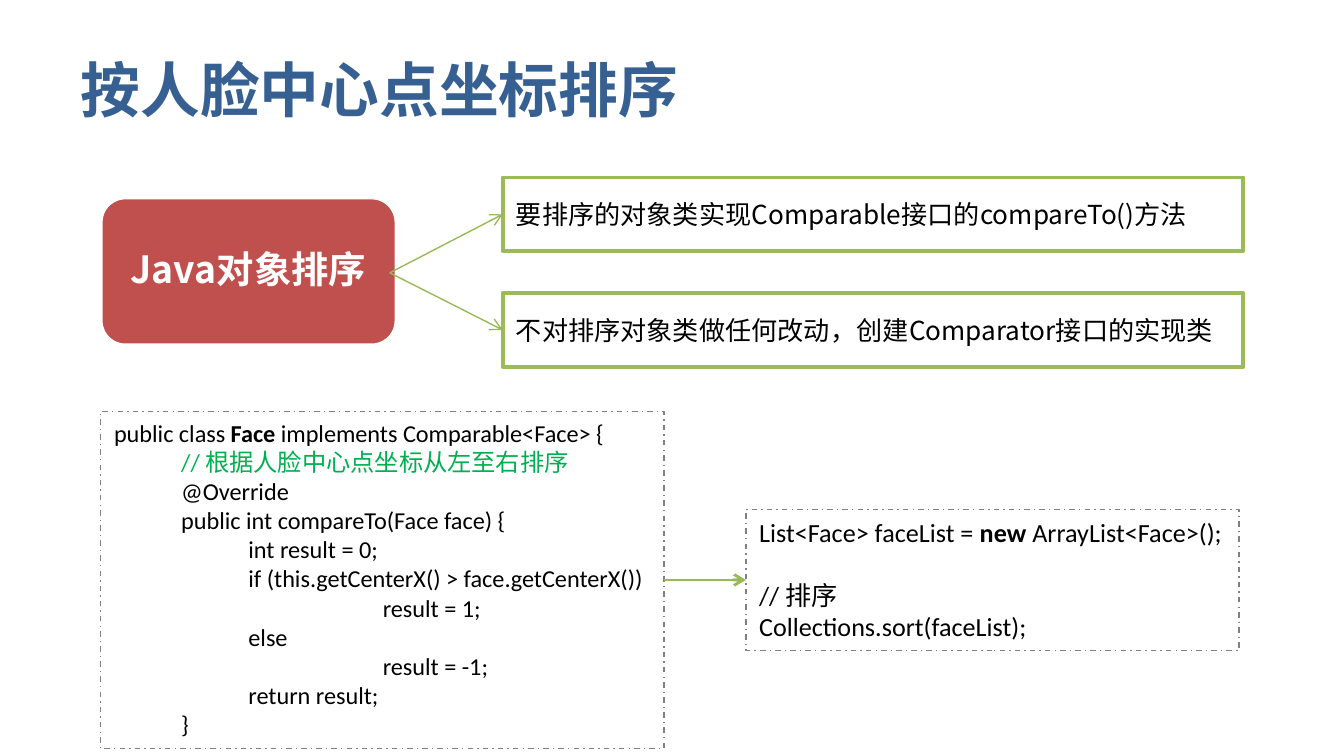
from lxml.etree import SubElement
from pptx import Presentation
from pptx.dml.color import RGBColor
from pptx.enum.dml import MSO_LINE_DASH_STYLE as Dash
from pptx.enum.shapes import MSO_CONNECTOR as Connector, MSO_SHAPE as Shape
from pptx.enum.text import MSO_ANCHOR as Anchor, MSO_AUTO_SIZE as AutoSize, PP_ALIGN as Align
from pptx.oxml.ns import qn
from pptx.util import Inches, Pt

BLUE = RGBColor(0x37, 0x60, 0x92)
RED = RGBColor(0xC0, 0x50, 0x4D)
GREEN = RGBColor(0x9B, 0xBB, 0x59)
ARROW_GREEN = RGBColor(0x98, 0xB9, 0x55)
COMMENT_GREEN = RGBColor(0x00, 0xB0, 0x50)
GRAY = RGBColor(0x80, 0x80, 0x80)
WHITE = RGBColor(0xFF, 0xFF, 0xFF)
BLACK = RGBColor(0x00, 0x00, 0x00)

CJK_FONT = "Noto Sans CJK SC"
CODE_FONT = "Calibri"
LEFT, RIGHT = 1, 3
INDENT_STEP = 0.5
TAB_WIDTH = 1

METHODS = [
    "要排序的对象类实现Comparable接口的compareTo()方法",
    "不对排序对象类做任何改动，创建Comparator接口的实现类",
]

# Each code line: indent level, text; ** marks a bold word.
FACE_CODE = [
    (0, "public class **Face** implements Comparable<Face> {"),
    (1, "// 根据人脸中心点坐标从左至右排序"),
    (1, "@Override"),
    (1, "public int compareTo(Face face) {"),
    (2, "int result = 0;"),
    (2, "if (this.getCenterX() > face.getCenterX())"),
    (2, "\tresult = 1;"),
    (2, "else"),
    (2, "\tresult = -1;"),
    (2, "return result;"),
    (1, "}"),
]
SORT_CODE = [
    (0, "List<Face> faceList = **new** ArrayList<Face>();"),
    (0, "// 排序"),
    (0, "Collections.sort(faceList);"),
]


def add_span(para, text, color, **font_format):
    span = para.add_run()
    span.text = text
    span.font.color.rgb = color
    for name, value in font_format.items():
        setattr(span.font, name, value)
    SubElement(span.font._element, qn("a:ea"), typeface=CJK_FONT)


def add_box(slide, kind, place, fill, line_color, line_width):
    box = slide.shapes.add_shape(kind, *map(Inches, place))
    box.shadow.inherit = False
    box.fill.solid()
    box.fill.fore_color.rgb = fill
    box.line.color.rgb = line_color
    box.line.width = Pt(line_width)
    box.text_frame.word_wrap = True
    box.text_frame.vertical_anchor = Anchor.MIDDLE
    return box


def add_code_box(slide, place, lines, size, comment_color):
    box = add_box(slide, Shape.RECTANGLE, place, WHITE, GRAY, 0.75)
    box.line.dash_style = Dash.DASH_DOT
    frame = box.text_frame
    frame_format = {"word_wrap": False, "vertical_anchor": Anchor.TOP,
                    "auto_size": AutoSize.SHAPE_TO_FIT_TEXT}
    for name, value in frame_format.items():
        setattr(frame, name, value)
    for index, (level, text) in enumerate(lines):
        para = frame.add_paragraph() if index else frame.paragraphs[0]
        para.alignment = Align.LEFT
        para.level = level
        indents = {"marL": level * INDENT_STEP, "indent": 0, "defTabSz": TAB_WIDTH}
        for name, value in indents.items():
            para._p.get_or_add_pPr().set(name, str(Inches(value)))
        color = comment_color if text.startswith("//") else BLACK
        for part, words in enumerate(text.split("**")):
            add_span(para, words, color, size=Pt(size), name=CODE_FONT, bold=part % 2 == 1)
    return box


def add_arrow(slide, start, end, width):
    line = slide.shapes.add_connector(Connector.STRAIGHT, *map(Inches, (*start, *end)))
    line.line.color.rgb = ARROW_GREEN
    line.line.width = Pt(width)
    SubElement(line.line._get_or_add_ln(), qn("a:tailEnd"), type="arrow")
    SubElement(line._element.spPr, qn("a:effectLst"))
    return line


def add_title(slide, text):
    title = slide.shapes.title
    place = {"left": 0.5, "top": 0.3, "width": 9, "height": 0.72}
    for name, value in place.items():
        setattr(title, name, Inches(value))
    title.text_frame.vertical_anchor = Anchor.MIDDLE
    para = title.text_frame.paragraphs[0]
    para.alignment = Align.LEFT
    add_span(para, text, BLUE, size=Pt(32), name=CJK_FONT, bold=True)


def add_sorting_methods(slide):
    topic = add_box(slide, Shape.ROUNDED_RECTANGLE, (0.75, 1.47, 2.2, 1.1), RED, WHITE, 2)
    para = topic.text_frame.paragraphs[0]
    para.alignment = Align.CENTER
    para.line_spacing = 0.9
    add_span(para, "Java对象排序", WHITE, size=Pt(20), name=CJK_FONT, bold=True)
    for index, text in enumerate(METHODS):
        top = 1.32 + index * 0.86
        method = add_box(slide, Shape.RECTANGLE, (3.74, top, 5.51, 0.55), WHITE, GREEN, 2)
        para = method.text_frame.paragraphs[0]
        para.alignment = Align.LEFT
        add_span(para, text, BLACK, size=Pt(14), name=CJK_FONT)
        arrow = add_arrow(slide, (2.9, 2.03), (3.74, top + 0.27), 0.75)
        arrow.end_connect(method, LEFT)


def add_code_example(slide):
    face_box = add_code_box(slide, (0.75, 3.06, 4.19, 2.51), FACE_CODE, 13, COMMENT_GREEN)
    sort_box = add_code_box(slide, (5.55, 3.79, 3.67, 1.05), SORT_CODE, 14, BLACK)
    sort_box.text_frame.paragraphs[1].space_before = Pt(17)
    arrow = add_arrow(slide, (4.94, 4.31), (5.55, 4.31), 1.5)
    arrow.begin_connect(face_box, RIGHT)
    arrow.end_connect(sort_box, LEFT)


def main():
    deck = Presentation()
    deck.slide_width = Inches(10)
    deck.slide_height = deck.slide_width * 9 // 16
    slide = deck.slides.add_slide(deck.slide_layouts[5])
    add_title(slide, "按人脸中心点坐标排序")
    add_sorting_methods(slide)
    add_code_example(slide)
    deck.save("out.pptx")


if __name__ == "__main__":
    main()
